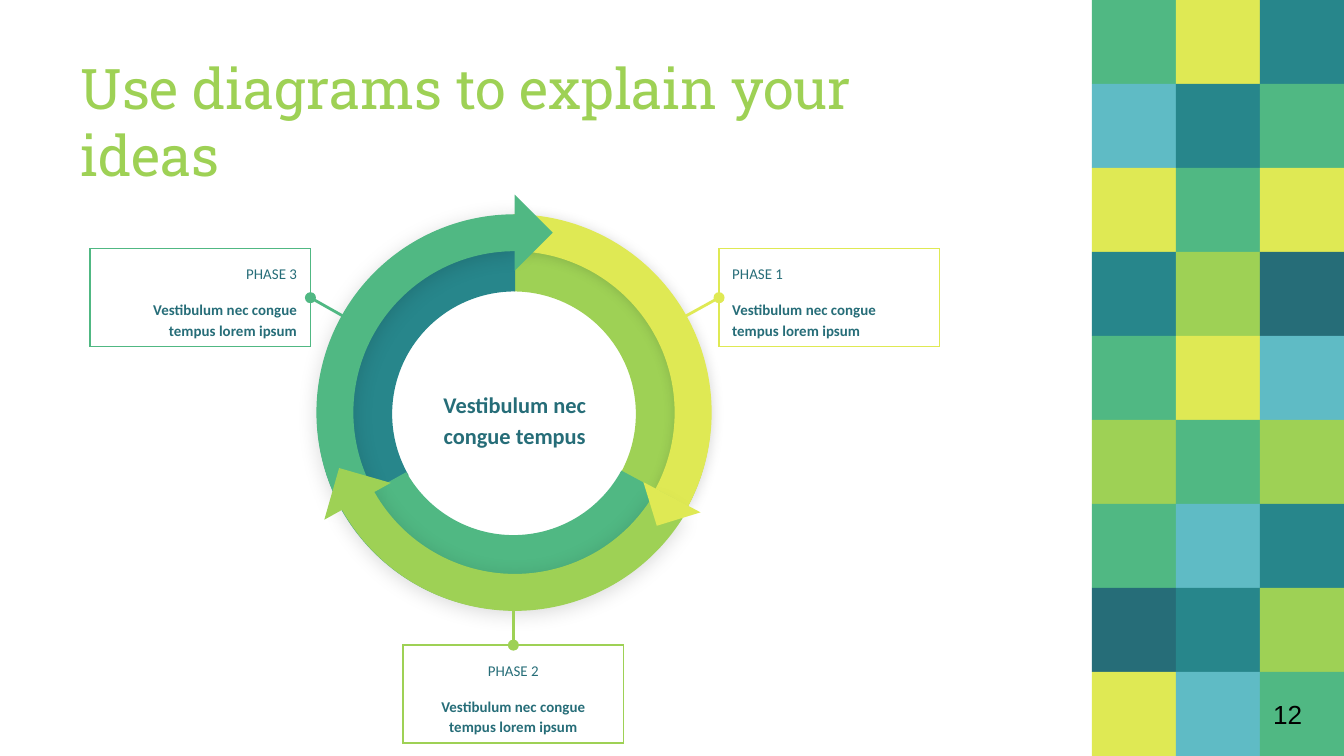
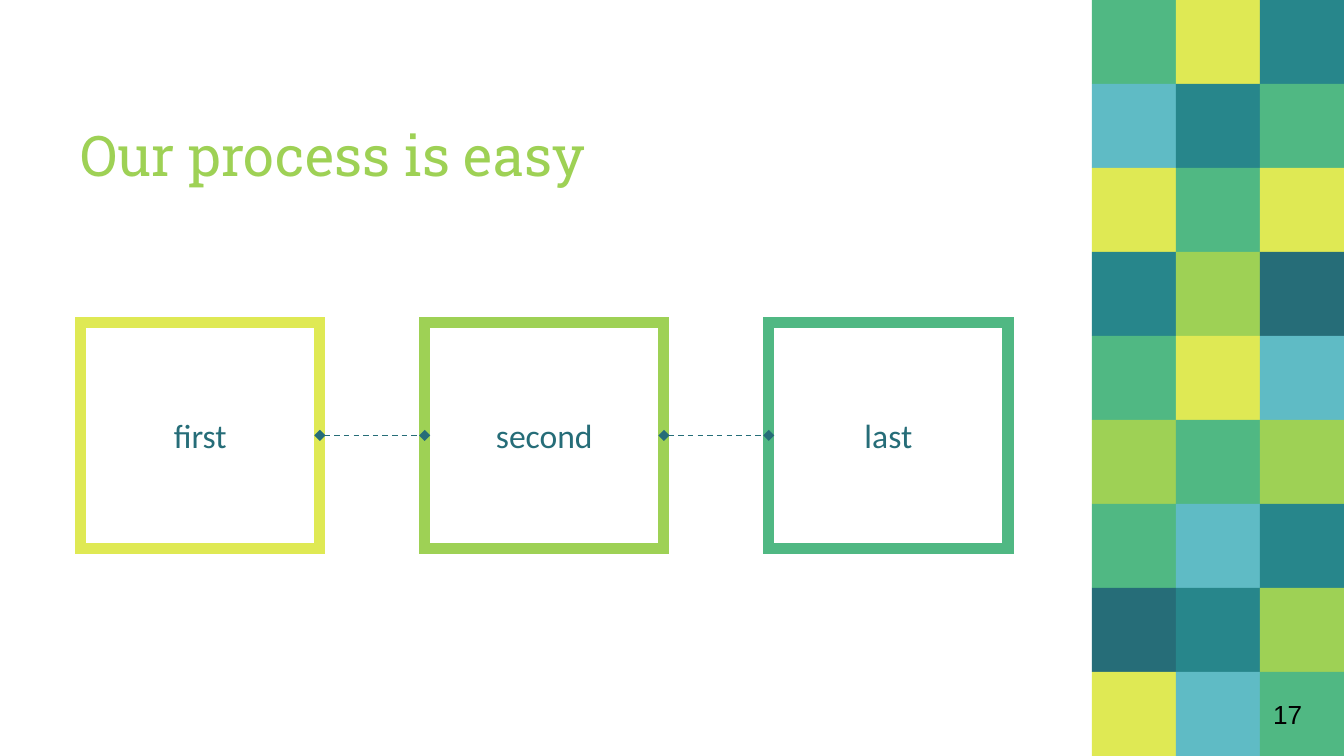
from dataclasses import dataclass

from lxml.etree import SubElement
from pptx import Presentation
from pptx.dml.color import RGBColor
from pptx.enum.dml import MSO_LINE
from pptx.enum.shapes import MSO_CONNECTOR, MSO_SHAPE
from pptx.enum.text import MSO_ANCHOR as Anchor, PP_ALIGN as Align
from pptx.oxml.ns import qn
from pptx.util import Inches, Pt

TOP, LEFT, RIGHT = 0, 1, 3


@dataclass(frozen=True)
class Theme:
    lime: str = "9ED155"
    yellow: str = "DFE954"
    green: str = "50B883"
    teal: str = "27868B"
    blue: str = "5FBBC5"
    dark: str = "266D78"
    black: str = "000000"
    title_font: str = "Roboto Slab"
    body_font: str = "Calibri"
    number_font: str = "Arial"
    title_size: int = 30
    step_size: int = 18
    number_size: int = 14
    centre_size: int = 12
    phase_size: int = 8


THEME = Theme()
TILE = 0.625
MOSAIC_LEFT = 8.125
TILE_COLOURS = {
    "L": THEME.lime, "Y": THEME.yellow, "G": THEME.green,
    "T": THEME.teal, "B": THEME.blue, "D": THEME.dark,
}
MOSAIC = ["GYT", "BTG", "YGY", "TLD", "GYB", "LGL", "GBT", "DTL", "YBG"]


class SlideBuilder:
    def __init__(self, deck, theme):
        self.deck = deck
        self.theme = theme
        self.page = None

    def new_page(self, title, number):
        self.page = self.deck.slides.add_slide(self.deck.slide_layouts[6])
        for row, tiles in enumerate(MOSAIC):
            for column, key in enumerate(tiles):
                self.shape(MSO_SHAPE.RECTANGLE, MOSAIC_LEFT + column * TILE,
                           row * TILE, TILE, TILE, fill=TILE_COLOURS[key])
        theme = self.theme
        title_box = self.text_box(0.5, 0.56, 7.01, 0.94)
        self.set_text(title_box, [title], theme.title_size, theme.lime,
                      font=theme.title_font, anchor=Anchor.BOTTOM)
        number_box = self.text_box(MOSAIC_LEFT + 2 * TILE, 8 * TILE, TILE, TILE)
        self.set_text(number_box, [number], theme.number_size, theme.black,
                      font=theme.number_font)

    def text_box(self, left, top, width, height):
        return self.page.shapes.add_textbox(
            Inches(left), Inches(top), Inches(width), Inches(height))

    def set_text(self, box, lines, size, colour, font=None, align=Align.LEFT,
                 anchor=Anchor.MIDDLE, spacing=None, gap=0, bold_last=False):
        frame = box.text_frame
        frame.word_wrap = True
        frame.vertical_anchor = anchor
        frame.margin_left = frame.margin_right = Inches(0.1)
        frame.margin_top = frame.margin_bottom = Inches(0.1)
        frame.text = "\n".join(lines)
        for index, para in enumerate(frame.paragraphs):
            para.alignment = align
            para.line_spacing = spacing
            if index:
                para.space_before = Pt(gap)
            for span in para.runs:
                span.font.name = font or self.theme.body_font
                span.font.size = Pt(size)
                span.font.color.rgb = RGBColor.from_string(colour)
                span.font.bold = bold_last and index == len(lines) - 1

    def shape(self, kind, left, top, width, height, fill=None, line=None,
              weight=0.75, rotation=0):
        item = self.page.shapes.add_shape(
            kind, Inches(left), Inches(top), Inches(width), Inches(height))
        item.shadow.inherit = False
        item.rotation = rotation
        if fill:
            item.fill.solid()
            item.fill.fore_color.rgb = RGBColor.from_string(fill)
        else:
            item.fill.background()
        if line:
            item.line.color.rgb = RGBColor.from_string(line)
            item.line.width = Pt(weight)
            SubElement(item.line._ln, qn("a:miter"), lim="800000")
        else:
            item.line.fill.background()
        return item

    def arc(self, left, top, rotation, flipped, adjustments, colour, shadow=None):
        item = self.shape(MSO_SHAPE.BLOCK_ARC, left, top, 2.94, 2.94, fill=colour,
                          line=colour if shadow else None, rotation=rotation)
        for index, value in enumerate(adjustments):
            item.adjustments[index] = value
        properties = item._element.spPr
        if flipped:
            properties.xfrm.set("flipH", "1")
        if shadow:
            blur, distance = shadow
            outer = SubElement(
                properties.find(qn("a:effectLst")), qn("a:outerShdw"),
                blurRad=str(Pt(blur)), dist=str(Pt(distance)),
                dir="5400000", algn="t", rotWithShape="0")
            tint = SubElement(outer, qn("a:srgbClr"), val=self.theme.black)
            SubElement(tint, qn("a:alpha"), val="15000")

    def connector(self, source, source_side, colour, weight, head,
                  end=(0, 0), target=None, target_side=None, tail=None, dash=None):
        link = self.page.shapes.add_connector(
            MSO_CONNECTOR.STRAIGHT, 0, 0, Inches(end[0]), Inches(end[1]))
        link.begin_connect(source, source_side)
        if target is not None:
            link.end_connect(target, target_side)
        link.line.color.rgb = RGBColor.from_string(colour)
        link.line.width = Pt(weight)
        if dash:
            link.line.dash_style = dash
        for tag, style in (("a:headEnd", head), ("a:tailEnd", tail)):
            if style:
                SubElement(link.line._ln, qn(tag), type=style)
        SubElement(link._element.spPr, qn("a:effectLst"))

    def phase(self, name, left, top, colour, align, side, end):
        box = self.shape(MSO_SHAPE.RECTANGLE, left, top, 1.64, 0.73, line=colour)
        self.set_text(box, [name, "Vestibulum nec congue tempus lorem ipsum"],
                      self.theme.phase_size, self.theme.dark, align=align,
                      anchor=Anchor.TOP, spacing=1.15, gap=8.4, bold_last=True)
        self.connector(box, side, colour, 1.5, "oval", end=end)


def build_cycle(builder):
    theme = builder.theme
    builder.new_page("Use diagrams to explain your ideas", "12")
    centre = builder.text_box(3.04, 2.67, 1.58, 0.88)
    builder.set_text(centre, ["Vestibulum nec congue tempus"], theme.centre_size,
                     theme.dark, align=Align.CENTER, spacing=1.15, bold_last=True)
    for arc in (
        (2.35, 1.61, 30, False, (144.14, 0.21, 0.19), theme.lime),
        (2.35, 1.6, 30, False, (144.14, 215.07, 0.09), theme.yellow, (6.8, 0.8)),
        (2.36, 1.61, 330, True, (143.89, 0.06, 0.19), theme.teal),
        (2.35, 1.6, 210, True, (143.44, 1.05, 0.19), theme.green),
        (2.36, 1.6, 330, True, (143.49, 214.73, 0.09), theme.green, (11.2, 1.5)),
        (2.36, 1.6, 210, True, (143.16, 215, 0.09), theme.lime, (11.2, 1.5)),
    ):
        builder.arc(*arc)
    for left, top, size, rotation, colour in (
        (2.46, 3.53, 0.4, 106, theme.lime),
        (4.83, 3.53, 0.34, 342.9, theme.yellow),
        (3.63, 1.53, 0.4, 225, theme.green),
    ):
        builder.shape(MSO_SHAPE.RIGHT_TRIANGLE, left, top, size, size,
                      fill=colour, rotation=rotation)
    for phase in (
        ("PHASE 3", 0.67, 1.85, theme.green, Align.RIGHT, RIGHT, (2.78, 2.48)),
        ("PHASE 1", 5.35, 1.85, theme.yellow, Align.LEFT, LEFT, (4.87, 2.48)),
        ("PHASE 2", 3, 4.8, theme.lime, Align.CENTER, TOP, (3.82, 4.28)),
    ):
        builder.phase(*phase)


def build_process(builder):
    theme = builder.theme
    builder.new_page("Our process is easy", "17")
    steps = []
    for index, (label, colour) in enumerate((
        ("first", theme.yellow), ("second", theme.lime), ("last", theme.green),
    )):
        box = builder.shape(MSO_SHAPE.RECTANGLE, 0.6 + index * 2.56, 2.4, 1.78, 1.68,
                            line=colour, weight=6)
        builder.set_text(box, [label], theme.step_size, theme.dark,
                         align=Align.CENTER)
        steps.append(box)
    for source, target in zip(steps, steps[1:]):
        builder.connector(source, RIGHT, theme.dark, 0.75, "diamond", target=target,
                          target_side=LEFT, tail="diamond", dash=MSO_LINE.DASH)


def main():
    deck = Presentation()
    deck.slide_width = Inches(10)
    deck.slide_height = Inches(5.625)
    builder = SlideBuilder(deck, THEME)
    build_cycle(builder)
    build_process(builder)
    deck.save("out.pptx")


if __name__ == "__main__":
    main()
